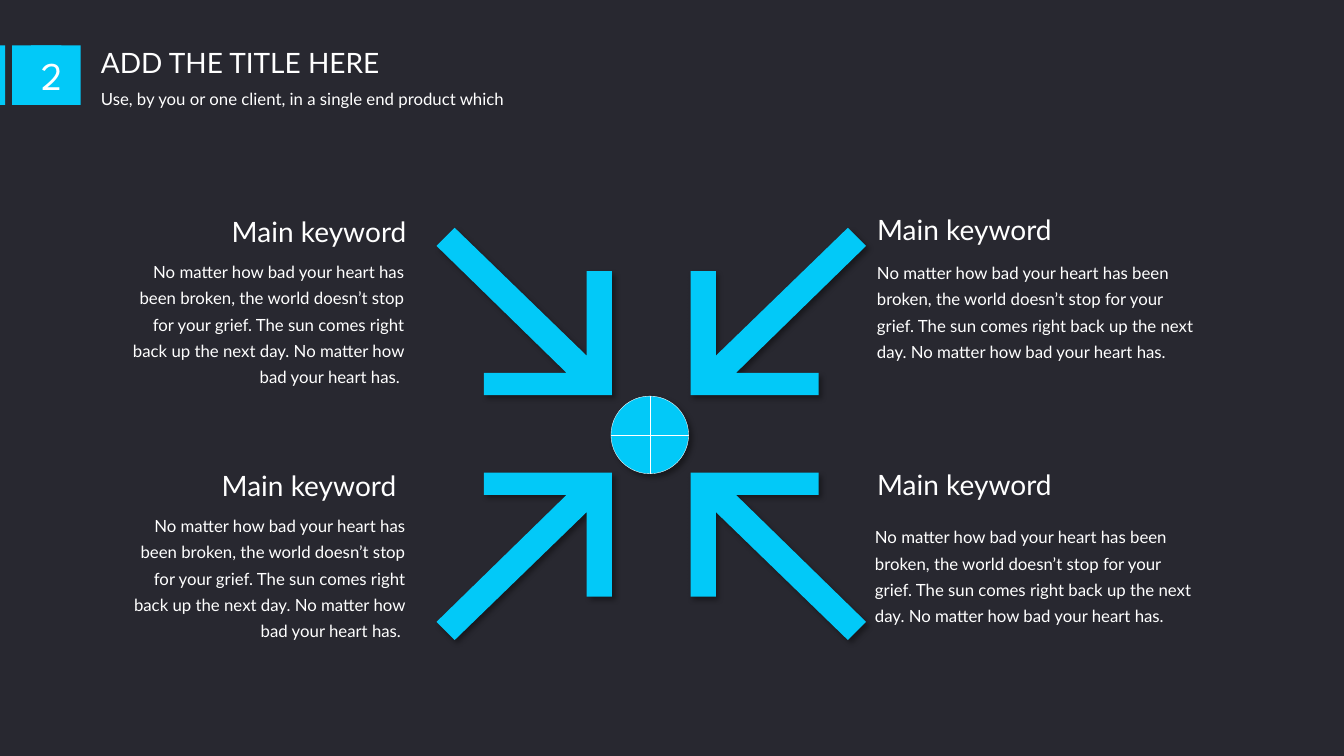
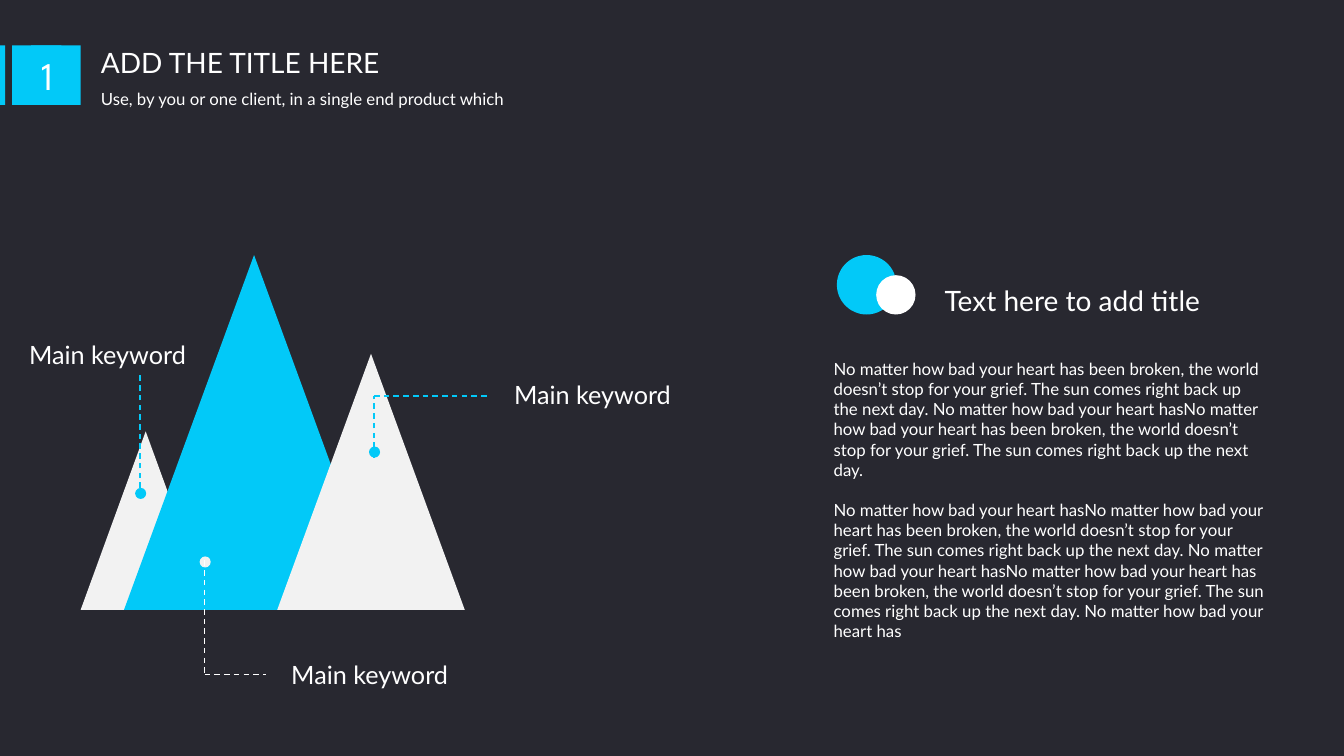
"""Build two dark slides: four arrows on one target, and three peaks with labels."""
from lxml import etree
from pptx import Presentation
from pptx.dml.color import RGBColor
from pptx.enum.dml import MSO_LINE
from pptx.enum.shapes import MSO_CONNECTOR, MSO_SHAPE
from pptx.enum.text import MSO_ANCHOR, MSO_AUTO_SIZE, PP_ALIGN
from pptx.oxml.ns import qn
from pptx.util import Pt

PX = 9144
LEFT, RIGHT, CENTER = PP_ALIGN.LEFT, PP_ALIGN.RIGHT, PP_ALIGN.CENTER
TOP, MIDDLE = MSO_ANCHOR.TOP, MSO_ANCHOR.MIDDLE
RECT, OVAL, PEAK, CROSS = (MSO_SHAPE.RECTANGLE, MSO_SHAPE.OVAL,
                           MSO_SHAPE.ISOSCELES_TRIANGLE, MSO_SHAPE.FLOWCHART_OR)
DASH, STRAIGHT, FIXED = MSO_LINE.DASH, MSO_CONNECTOR.STRAIGHT, MSO_AUTO_SIZE.NONE

HUES = {"back": "282830", "cyan": "02C9F8", "pale": "F2F2F2",
        "white": "FFFFFF", "black": "000000"}
RGB = {name: RGBColor.from_string(code) for name, code in HUES.items()}

START = "No matter how bad your heart has"
GRIEF = (START + " been broken, the world doesn’t stop for your grief. "
         "The sun comes right back up the next day.")
QUOTE = f"{GRIEF} {START}."
KEY = "Main keyword"


def write(text, shape, size=12, face="Lato", align=LEFT, anchor=TOP,
          lead=1.0, gap=0, plain=False):
    """Fill a shape with one paragraph per line of text."""
    frame = shape.text_frame
    frame.text = text
    frame.word_wrap = True
    frame.auto_size = FIXED
    frame.vertical_anchor = anchor
    for row, para in enumerate(frame.paragraphs):
        para.alignment = align
        para.line_spacing = lead
        para.space_before = Pt(gap if row else 0)
        font = para.runs[0].font
        font.size, font.name, font.color.rgb = Pt(size), face, RGB["white"]
        if plain:
            props = para._p.get_or_add_pPr()
            props.set("marL", "0")
            props.set("indent", "0")
            etree.SubElement(props, qn("a:buNone"))


def paint(shape, hue):
    """Give a shape a flat fill without line or shadow."""
    shape.shadow.inherit = False
    shape.fill.solid()
    shape.fill.fore_color.rgb = RGB[hue]
    shape.line.fill.background()
    return shape


deck = Presentation()
deck.slide_width, deck.slide_height = 1333 * PX, 750 * PX
back = deck.slide_master.background.fill
back.solid()
back.fore_color.rgb = RGB["back"]

layout = deck.slide_layouts[1]
for holder, box in zip(layout.placeholders, [(90, 40, 396, 44), (90, 83, 667, 30)]):
    holder.left, holder.top, holder.width, holder.height = [n * PX for n in box]

pages = []
for mark in "21":
    page = deck.slides.add_slide(layout)
    write("ADD THE TITLE HERE", page.shapes.title, size=20)
    write("Use, by you or one client, in a single end product which",
          page.placeholders[1], plain=True)
    for left, width in [(0, 5), (12, 68), (31, 30)]:
        tile = paint(page.shapes.add_shape(
            RECT, left * PX, 45 * PX, width * PX, 59 * PX), "cyan")
    write(mark, tile, size=28, face="League Spartan", align=CENTER, anchor=MIDDLE)
    pages.append(page.shapes)
aim, peaks = pages

ARROW = [(0, 0), (127, 0), (127, 22), (45, 22), (174, 148),
         (156, 166), (25, 39), (25, 123), (0, 123)]
parts = []
for tip_x, side in [(607, -1), (685, 1)]:
    for tip_y, way in [(392, -1), (469, 1)]:
        dots = [(tip_x + side * x, tip_y + way * y) for x, y in ARROW]
        pen = aim.build_freeform(*dots[0], scale=PX)
        pen.add_line_segments(dots[1:])
        parts.append(paint(pen.convert_to_shape(), "cyan"))
hub = paint(aim.add_shape(CROSS, 606 * PX, 393 * PX, 77 * PX, 77 * PX), "cyan")
hub.line.color.rgb = RGB["white"]
hub.line.width = Pt(0.25)
for part in parts + [hub]:
    glow = part._element.spPr.find(qn("a:effectLst"))
    shade = etree.SubElement(glow, qn("a:outerShdw"), blurRad=str(Pt(4)),
                             dist=str(Pt(3)), dir="2700000", algn="tl", rotWithShape="0")
    tint = etree.SubElement(shade, qn("a:srgbClr"), val=HUES["black"])
    etree.SubElement(tint, qn("a:alpha"), val="40000")

for head_x, head_y, text_x, text_y, width, align, tail in [
        (220, 208, 116, 249, 295, RIGHT, " "),
        (210, 460, 117, 501, 295, RIGHT, " "),
        (860, 206, 860, 250, 334, LEFT, ""),
        (860, 459, 858, 512, 334, LEFT, "")]:
    write(KEY, aim.add_textbox(head_x * PX, head_y * PX, 211 * PX, 44 * PX), size=20)
    write(QUOTE + tail, aim.add_textbox(text_x * PX, text_y * PX, width * PX, 140 * PX),
          align=align, lead=1.3)

BASE = 605
for left, width, height, hue in [(80, 129, 177, "pale"), (123, 258, 352, "cyan"),
                                 (275, 186, 254, "pale")]:
    paint(peaks.add_shape(PEAK, left * PX, (BASE - height) * PX,
                          width * PX, height * PX), hue)

DOT = 11
for dot_x, dot_y, dot_hue, hue, route, text_x, text_y in [
        (198, 552, "pale", "white", [(203, 556), (203, 669), (264, 669)], 279, 649),
        (366, 443, "cyan", "cyan", [(371, 454), (371, 393), (484, 393)], 500, 371),
        (134, 484, "cyan", "cyan", [(139, 484), (139, 371)], 19, 332)]:
    paint(peaks.add_shape(OVAL, dot_x * PX, dot_y * PX, DOT * PX, DOT * PX), dot_hue)
    for start, end in zip(route, route[1:]):
        link = peaks.add_connector(STRAIGHT, *[n * PX for n in start + end])
        link.line.color.rgb = RGB[hue]
        link.line.width = Pt(1)
        link.line.dash_style = DASH
        etree.SubElement(link._element.spPr, qn("a:effectLst"))
    write(KEY, peaks.add_textbox(text_x * PX, text_y * PX, 179 * PX, 40 * PX), size=18)

for left, top, size, hue in [(830, 253, 59, "cyan"), (869, 273, 39, "white")]:
    paint(peaks.add_shape(OVAL, left * PX, top * PX, size * PX, size * PX), hue)
write("Text here to add title",
      peaks.add_textbox(927 * PX, 276 * PX, 302 * PX, 44 * PX), size=20)
write(f"{GRIEF} {START}{GRIEF}\n{START}{GRIEF} {START}{GRIEF} {START}",
      peaks.add_textbox(817 * PX, 351 * PX, 447 * PX, 333 * PX), gap=14.4)

deck.save("out.pptx")
